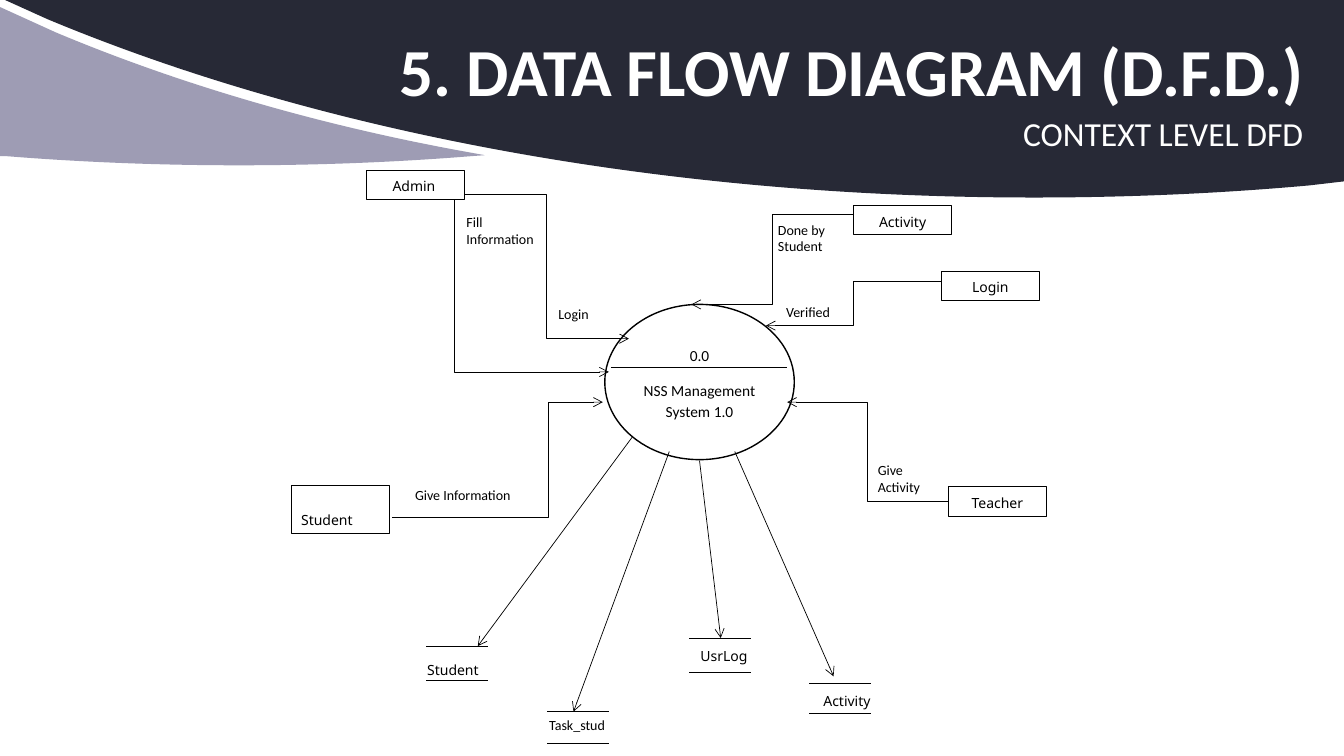
from dataclasses import dataclass
from typing import Optional

from lxml.etree import SubElement
from pptx import Presentation
from pptx.dml.color import RGBColor as Rgb
from pptx.enum.shapes import MSO_CONNECTOR as Link, MSO_SHAPE as Kind
from pptx.enum.text import MSO_ANCHOR as Anchor, MSO_AUTO_SIZE as Fit, PP_ALIGN as Align
from pptx.oxml.ns import qn
from pptx.util import Inches, Pt


@dataclass(frozen=True)
class Theme:
    dark: Rgb = Rgb(0x27, 0x29, 0x36)
    mauve: Rgb = Rgb(0x9E, 0x9C, 0xB4)
    white: Rgb = Rgb(0xFF, 0xFF, 0xFF)
    black: Rgb = Rgb(0, 0, 0)
    body: str = "Calibri"
    node: str = "Noto Sans"
    title: int = 48
    sub: int = 24
    core: int = 11
    small: int = 10
    thin: float = 0.5
    edge: float = 0.75


@dataclass(frozen=True)
class Node:
    text: str
    left: float
    top: float
    high: float = 0.29
    align: Align = Align.CENTER
    anchor: Anchor = Anchor.MIDDLE


@dataclass(frozen=True)
class Label:
    text: str
    left: float
    top: float
    wide: float
    high: float = 0.27
    font: str = "Calibri"
    indent: float = 0
    wrap: bool = True


@dataclass(frozen=True)
class Store:
    left: float
    top: float
    gap: float
    label: Label


@dataclass(frozen=True)
class Flow:
    start: tuple[float, float]
    end: tuple[float, float]
    bent: bool = False
    bend: Optional[float] = None
    node: Optional[str] = None
    side: int = 1


LOOK = Theme()
WIDE, HIGH = 40 / 3, 7.5
NODE_WIDE, STORE_WIDE, LABEL_WIDE = 0.97, 0.61, 1.38

# Each wave is a start point, then line points or (control, control, end) curves
DARK = [(0.05, 0), (WIDE, 0), (WIDE, 1.8), (12.99, 1.84),
        ((12.1, 1.92), (11.19, 1.96), (10.26, 1.96)),
        ((6.54, 1.96), (3.13, 1.3), (0.47, 0.19))]
MAUVE = [(0, 0.07), (0.55, 0.32), ((1.74, 0.82), (3.11, 1.23), (4.59, 1.5)),
         (4.81, 1.54), (4.67, 1.55), ((3.92, 1.61), (3.15, 1.64), (2.37, 1.64)),
         ((1.59, 1.64), (0.82, 1.61), (0.07, 1.55)), (0, 1.55)]

NODES = [
    Node("Admin ", 3.64, 1.69),
    Node("Login", 9.34, 2.69),
    Node("Student", 2.89, 4.82, 0.47, Align.LEFT, Anchor.BOTTOM),
    Node("Teacher", 9.41, 4.83),
    Node("Activity", 8.47, 2.04),
]
FLOWS = [
    Flow((4.61, 1.93), (6.24, 3.36), True),
    Flow((9.34, 2.79), (7.6, 3.23), True),
    Flow((4.05, 1.98), (6.04, 3.69), True, 0.23),
    Flow((3.89, 5.13), (5.98, 3.99), True, 0.74),
    Flow((9.41, 4.97), (7.81, 3.99), True, node="Teacher"),
    Flow((8.47, 2.13), (6.86, 3.02), True),
    Flow((6.27, 4.34), (4.74, 6.41)),
    Flow((6.94, 4.57), (7.15, 6.33)),
    Flow((7.29, 4.48), (8.27, 6.71)),
    Flow((6.64, 4.48), (5.69, 7.06)),
]
STORES = [
    Store(4.23, 6.41, 0.34, Label("Student", 3.64, 6.51, LABEL_WIDE, font=LOOK.node, indent=0.5)),
    Store(6.84, 6.33, 0.34, Label("UsrLog", 6.35, 6.37, LABEL_WIDE, font=LOOK.node, indent=0.5)),
    Store(8.03, 6.78, 0.3, Label("Activity", 7.57, 6.82, LABEL_WIDE, font=LOOK.node, indent=0.5)),
    Store(5.43, 7.06, 0.31, Label("Task_stud", 5.35, 7.06, 0.77, wrap=False)),
]
LABELS = [
    Label("Fill Information", 4.53, 2.07, 0.9, 0.44),
    Label("Login", 5.44, 2.98, 0.55),
    Label("Done by Student", 7.62, 2.14, 0.9, 0.44),
    Label("Verified", 7.7, 2.96, 0.82),
    Label("Give Information", 4.02, 4.78, 1.17),
    Label("Give Activity", 8.61, 4.53, 0.82, 0.44),
]


def style(frame, size: float, font: str, color: Rgb, align: Align, space: float = 1,
          after: float = 0, bold: bool = False) -> None:
    frame.word_wrap = True
    for para in frame.paragraphs:
        para.alignment, para.line_spacing, para.space_after = align, space, Pt(after)
        for run in para.runs:
            run.font.size, run.font.name, run.font.bold = Pt(size), font, bold
            run.font.color.rgb = color


def draw_wave(slide, steps: list, color: Rgb, depth: int) -> None:
    groups = [step if isinstance(step[0], tuple) else (step,) for step in steps]
    first, *rest = [(Inches(x), Inches(y)) for group in groups for x, y in group]
    build = slide.shapes.build_freeform(*first)
    build.add_line_segments(rest)
    wave = build.convert_to_shape()
    # Merge each run of three points into one curve
    lines = wave._element.iter(qn("a:lnTo"))
    lines = iter(list(lines))
    for group in groups[1:]:
        head, *tail = [next(lines) for _ in group]
        if tail:
            curve = SubElement(head.getparent(), qn("a:cubicBezTo"))
            head.addprevious(curve)
            for line in (head, *tail):
                curve.append(line[0])
                line.getparent().remove(line)
    wave.shadow.inherit = False
    wave.fill.solid()
    wave.fill.fore_color.rgb = color
    wave.line.fill.background()
    slide.shapes._spTree.insert(depth, wave._element)


def draw_shape(slide, kind: Kind, box: tuple, width: float):
    shape = slide.shapes.add_shape(kind, *map(Inches, box))
    shape.shadow.inherit = False
    shape.fill.solid()
    shape.fill.fore_color.rgb = LOOK.white
    shape.line.color.rgb, shape.line.width = LOOK.black, Pt(width)
    return shape


def draw_node(slide, node: Node):
    shape = draw_shape(slide, Kind.RECTANGLE, (node.left, node.top, NODE_WIDE, node.high), LOOK.edge)
    frame = shape.text_frame
    frame.text, frame.vertical_anchor = node.text, node.anchor
    style(frame, LOOK.small, LOOK.node, LOOK.black, node.align, 1.15, 10)
    return shape


def draw_line(slide, start: tuple, end: tuple, kind: Link = Link.STRAIGHT):
    line = slide.shapes.add_connector(kind, *map(Inches, (*start, *end)))
    line.line.color.rgb, line.line.width = LOOK.black, Pt(LOOK.thin)
    SubElement(line._element.spPr, qn("a:effectLst"))
    return line


def draw_flow(slide, flow: Flow, nodes: dict) -> None:
    line = draw_line(slide, flow.start, flow.end, Link.ELBOW if flow.bent else Link.STRAIGHT)
    SubElement(line.line._get_or_add_ln(), qn("a:tailEnd"), type="arrow")
    if flow.bend is not None:
        guides = line._element.spPr.find(qn("a:prstGeom")).find(qn("a:avLst"))
        SubElement(guides, qn("a:gd"), name="adj1", fmla=f"val {round(flow.bend * 100000)}")
    if flow.node:
        line.begin_connect(nodes[flow.node], flow.side)


def draw_label(slide, label: Label) -> None:
    box = slide.shapes.add_textbox(*map(Inches, (label.left, label.top, label.wide, label.high)))
    frame = box.text_frame
    frame.text, frame.vertical_anchor = label.text, Anchor.MIDDLE
    style(frame, LOOK.small, label.font, LOOK.black, Align.LEFT)
    frame.word_wrap, frame.auto_size = label.wrap, Fit.SHAPE_TO_FIT_TEXT
    if label.indent:
        frame.paragraphs[0]._p.get_or_add_pPr().set("indent", str(Inches(label.indent)))


def main() -> None:
    deck = Presentation()
    deck.slide_width, deck.slide_height = Inches(WIDE), Inches(HIGH)
    slide = deck.slides.add_slide(deck.slide_layouts[5])

    # Header
    draw_wave(slide, DARK, LOOK.dark, 2)
    draw_wave(slide, MAUVE, LOOK.mauve, 3)
    title = slide.shapes.title
    title.left, title.top, title.width, title.height = map(Inches, (0.92, 0.02, 12.42, 1.45))
    sub = slide.shapes.add_textbox(*map(Inches, (3.33, 1.12, 10, 0.78)))
    for shape, text, size, bold in ((title, "5. DATA FLOW DIAGRAM (D.F.D.)", LOOK.title, True),
                                    (sub, "CONTEXT LEVEL DFD", LOOK.sub, False)):
        frame = shape.text_frame
        frame.text, frame.margin_right, frame.auto_size = text, Inches(0.4), Fit.NONE
        style(frame, size, LOOK.body, LOOK.white, Align.RIGHT, 0.9, bold=bold)
    title.text_frame.vertical_anchor = Anchor.MIDDLE

    # Central process and outer nodes
    nodes = {node.text: draw_node(slide, node) for node in NODES}
    core = draw_shape(slide, Kind.OVAL, (6, 3.02, 1.88, 1.54), 1)
    core.text_frame.text = "0.0\nNSS Management System 1.0"
    core.text_frame.vertical_anchor = Anchor.MIDDLE
    style(core.text_frame, LOOK.core, LOOK.body, LOOK.black, Align.CENTER, 1.15, 10)
    draw_line(slide, (6.06, 3.64), (7.81, 3.64))

    # Flows, data stores and labels
    for flow in FLOWS:
        draw_flow(slide, flow, nodes)
    for store in STORES:
        for y in (store.top, store.top + store.gap):
            draw_line(slide, (store.left, y), (store.left + STORE_WIDE, y))
        draw_label(slide, store.label)
    for label in LABELS:
        draw_label(slide, label)

    deck.save("out.pptx")


if __name__ == "__main__":
    main()
